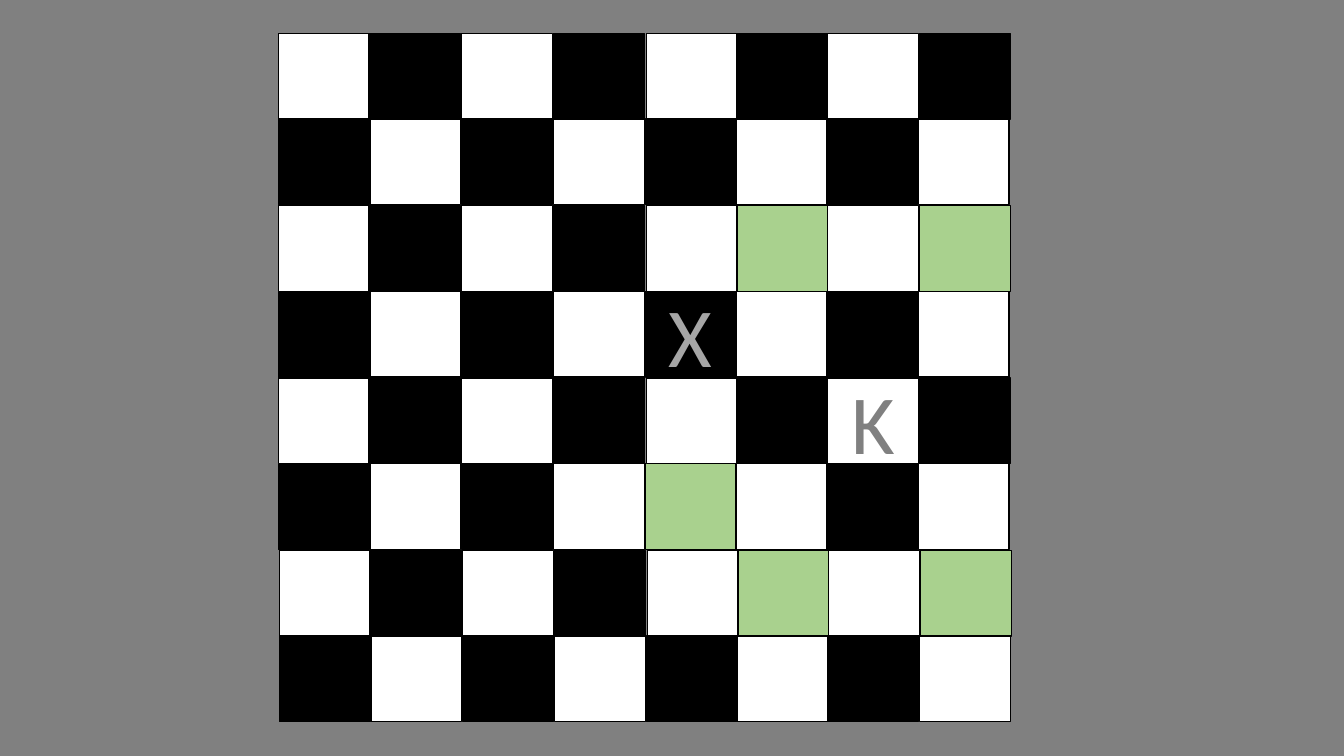
from pptx import Presentation
from pptx.dml.color import RGBColor
from pptx.enum.shapes import MSO_SHAPE as Shape
from pptx.enum.text import MSO_ANCHOR as Anchor, PP_ALIGN as Align
from pptx.util import Pt

PX = 9144
LEFTS = [276, 367, 458, 549, 640, 730, 820, 911]
TOP, STEP = 33, 85.43
WIDE, HIGH = 90, 85
GREEN = {(2, 5), (2, 7), (5, 4), (6, 5), (6, 7)}
MARKS = {(3, 4): ("X", "A6A6A6"), (4, 6): ("K", "808080")}


def paint(fill, color):
    fill.solid()
    fill.fore_color.rgb = RGBColor.from_string(color)


deck = Presentation()
deck.slide_width, deck.slide_height = 1333 * PX, 750 * PX
slide = deck.slides.add_slide(deck.slide_layouts[6])
paint(slide.background.fill, "808080")
board = slide.shapes.add_group_shape()

for row in reversed(range(8)):
    top = round(TOP + row * STEP)
    for col, left in enumerate(LEFTS):
        left += (row >= 6) + (row % 2 == 0 and col >= 4)
        box = [n * PX for n in (left, top, WIDE, HIGH)]
        square = board.shapes.add_shape(Shape.RECTANGLE, *box)
        square.shadow.inherit = False
        color = "000000" if (row + col) % 2 else "FFFFFF"
        paint(square.fill, "A9D18E" if (row, col) in GREEN else color)
        paint(square.line.fill, "000000")
        square.line.width = Pt(1)
        if (row, col) in MARKS:
            text, color = MARKS[row, col]
            frame = square.text_frame
            frame.vertical_anchor = Anchor.MIDDLE
            para = frame.paragraphs[0]
            para.alignment = Align.CENTER
            run = para.add_run()
            run.text = text
            for key, value in {"size": Pt(60), "name": "Calibri"}.items():
                setattr(run.font, key, value)
            paint(run.font.fill, color)

deck.save("out.pptx")
